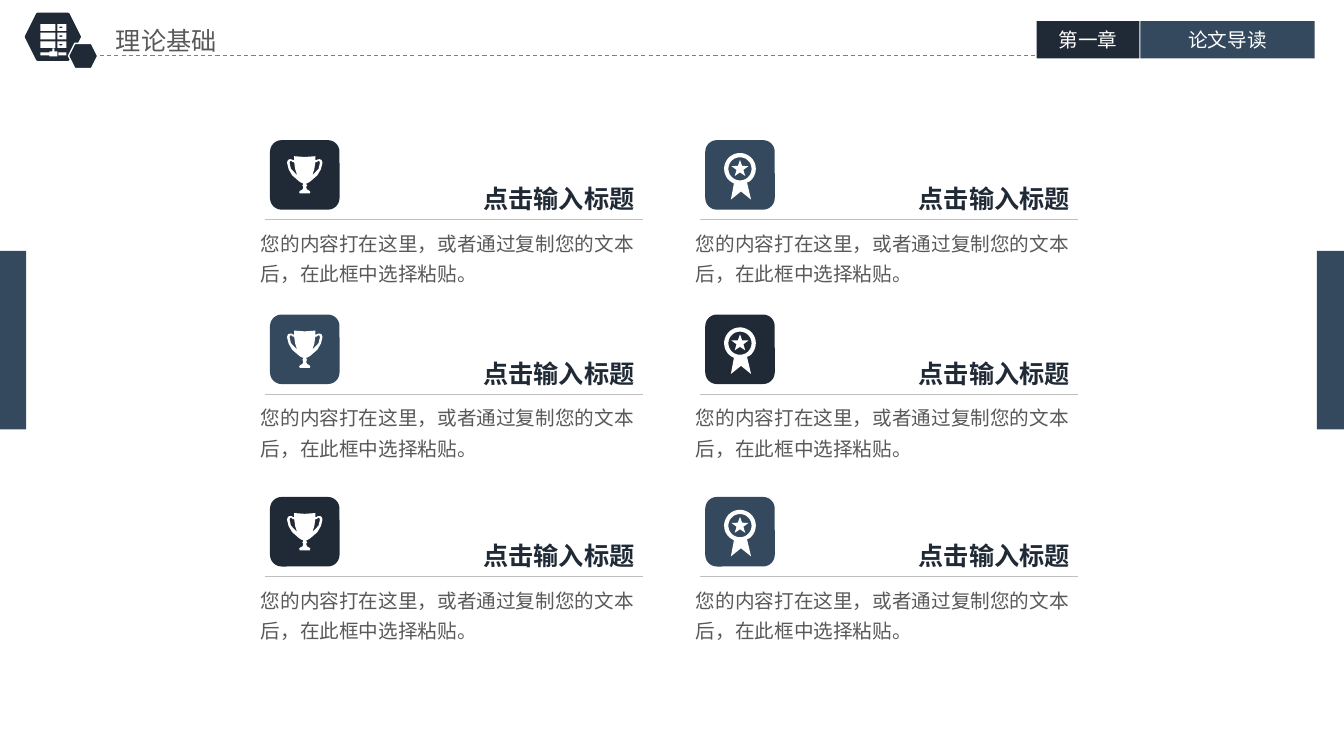
from math import cos, radians, sin

from lxml.etree import SubElement
from pptx import Presentation
from pptx.dml.color import RGBColor
from pptx.enum.dml import MSO_LINE
from pptx.enum.shapes import MSO_CONNECTOR, MSO_SHAPE
from pptx.enum.text import MSO_ANCHOR, MSO_AUTO_SIZE, PP_ALIGN
from pptx.oxml.ns import qn
from pptx.util import Pt

# Content
TITLE = "理论基础"
TABS = [("第一章", 1029, 102, "202A36"), ("论文导读", 1132, 173, "34495E")]
HEADING = "点击输入标题"
BODY = "您的内容打在这里，或者通过复制您的文本后，在此框中选择粘贴。"
FONT = "Noto Sans CJK SC"
NAVY, BLUE, GREY, WHITE = "202A36", "34495E", "595959", "FFFFFF"
CARD_X = [268, 700]
CARD_Y = [139, 312, 493]
CARD_COLORS = [(NAVY, BLUE), (BLUE, NAVY), (NAVY, BLUE)]
TILE = 69

# Icon outlines, in tenths of a px around the icon's centre line
CUP_HALF = [(0, 8), (105, 0), (105, 40), (115, 40), (130, 31), (150, 30), (167, 38),
            (175, 60), (175, 70), (160, 130), (125, 190), (55, 250), (30, 266), (15, 270),
            (15, 280), (25, 290), (15, 300), (15, 315), (25, 333), (45, 342), (55, 355),
            (50, 370)]
HANDLE_HOLE = [(105, 60), (118, 60), (135, 46), (148, 52), (150, 70), (137, 125),
               (75, 190), (95, 130)]
RIBBON = [(70, 135), (110, 305), (10, 225), (-90, 305), (-60, 145)]
SERVER_ROWS = [0, 85, 170]
SERVER_STAND = [(-10, 240, 10, 270), (-40, 270, 40, 320),
                (-130, 280, -40, 310), (50, 280, 130, 310)]

PX = 9144
prs = Presentation()
prs.slide_width, prs.slide_height = 1334 * PX, 750 * PX
s = prs.slides.add_slide(prs.slide_layouts[5])


def px(*lengths):
    return [int(v * PX) for v in lengths]


def rgb(color):
    return RGBColor.from_string(color)


def paint(sp, fill, line=None, width=1):
    sp.shadow.inherit = False
    sp.fill.solid()
    sp.fill.fore_color.rgb = rgb(fill)
    if line:
        sp.line.color.rgb = rgb(line)
        sp.line.width = Pt(width)
    else:
        sp.line.fill.background()


def block(kind, x, y, w, h, fill, line=None, width=1):
    sp = s.shapes.add_shape(kind, *px(x, y, w, h))
    paint(sp, fill, line, width)
    return sp


def rule(x1, x2, y, color):
    ln = s.shapes.add_connector(MSO_CONNECTOR.STRAIGHT, *px(x1, y, x2, y))
    ln.line.color.rgb = rgb(color)
    ln.line.width = Pt(0.75)
    SubElement(ln._element.spPr, qn("a:effectLst"))
    return ln


def write(sp, text, size, color, align=PP_ALIGN.LEFT, anchor=MSO_ANCHOR.TOP,
          wrap=True, bold=False, spacing=None, inset=(10, 5)):
    tf = sp.text_frame
    tf.word_wrap, tf.vertical_anchor = wrap, anchor
    tf.margin_left = tf.margin_right = inset[0] * PX
    tf.margin_top = tf.margin_bottom = inset[1] * PX
    p = tf.paragraphs[0]
    p.text, p.alignment, p.line_spacing = text, align, spacing
    p.font.size, p.font.bold, p.font.name = Pt(size), bold, FONT
    p.font.color.rgb = rgb(color)
    SubElement(p._p.pPr.find(qn("a:defRPr")), qn("a:ea")).set("typeface", FONT)


def text_box(x, y, w, h, *args, **kwargs):
    sp = s.shapes.add_textbox(*px(x, y, w, h))
    write(sp, *args, **kwargs)
    sp.text_frame.auto_size = MSO_AUTO_SIZE.SHAPE_TO_FIT_TEXT


def icon(contours, x, y):
    first, *rest = contours
    fb = s.shapes.build_freeform(*first[0], scale=PX / 10)
    fb.add_line_segments(first[1:], close=True)
    for points in rest:
        fb.move_to(*points[0])
        fb.add_line_segments(points[1:], close=True)
    paint(fb.convert_to_shape(*px(x, y)), WHITE)


def mirror(points):
    return [(-x, y) for x, y in reversed(points)]


def polar(radius, angle):
    return round(radius * cos(radians(angle))), round(radius * sin(radians(angle)))


def box(x1, y1, x2, y2):
    return [(x1, y1), (x2, y1), (x2, y2), (x1, y2)]


# Icon contours
trophy = [CUP_HALF + mirror(CUP_HALF[1:]), HANDLE_HOLE, mirror(HANDLE_HOLE)]
medal = [[polar(157, a) for a in range(115, 421, 9)] + RIBBON,
         [polar(115, a) for a in range(0, 360, 10)],
         [polar(36 if i % 2 else 88, 36 * i - 90) for i in range(10)]]
server = [box(*b) for b in SERVER_STAND]
for y in SERVER_ROWS:
    server += [box(-130, y, 20, y + 65), box(40, y, 130, y + 65),
               box(60, y + 25, 90, y + 40)]

# Header
title = s.shapes.title
title.left, title.top, title.width, title.height = px(108, 21, 205, 38)
write(title, TITLE, 18, GREY, inset=(7, 4))
block(MSO_SHAPE.HEXAGON, 26, 14, 53, 45, NAVY, NAVY, 2)
rule(92, 1029, 55, "808080").line.dash_style = MSO_LINE.DASH
for label, x, w, color in TABS:
    write(block(MSO_SHAPE.RECTANGLE, x, 21, w, 37, color), label, 14, WHITE,
          PP_ALIGN.CENTER, MSO_ANCHOR.MIDDLE, inset=(7, 4))
block(MSO_SHAPE.HEXAGON, 68, 43, 29, 25, NAVY, WHITE)
icon(server, 53, 24)

# Side bars
for x in (-3, 1307):
    block(MSO_SHAPE.RECTANGLE, x, 249, 29, 177, BLUE)

# Cards
for y, colors in zip(CARD_Y, CARD_COLORS):
    for x, color, shape, drop in zip(CARD_X, colors, (trophy, medal), (16, 28.5)):
        block(MSO_SHAPE.ROUNDED_RECTANGLE, x, y, TILE, TILE, color)
        icon(shape, x + TILE / 2, y + drop)
        rule(x - 5, x + 370, y + 79, "BFBFBF")
        text_box(x + 202, y + 38, 172, 40, HEADING, 18, NAVY,
                 anchor=MSO_ANCHOR.MIDDLE, wrap=False, bold=True)
        text_box(x - 19, y + 79, 408, 68, BODY, 14, GREY, spacing=1.3)

prs.save("out.pptx")
